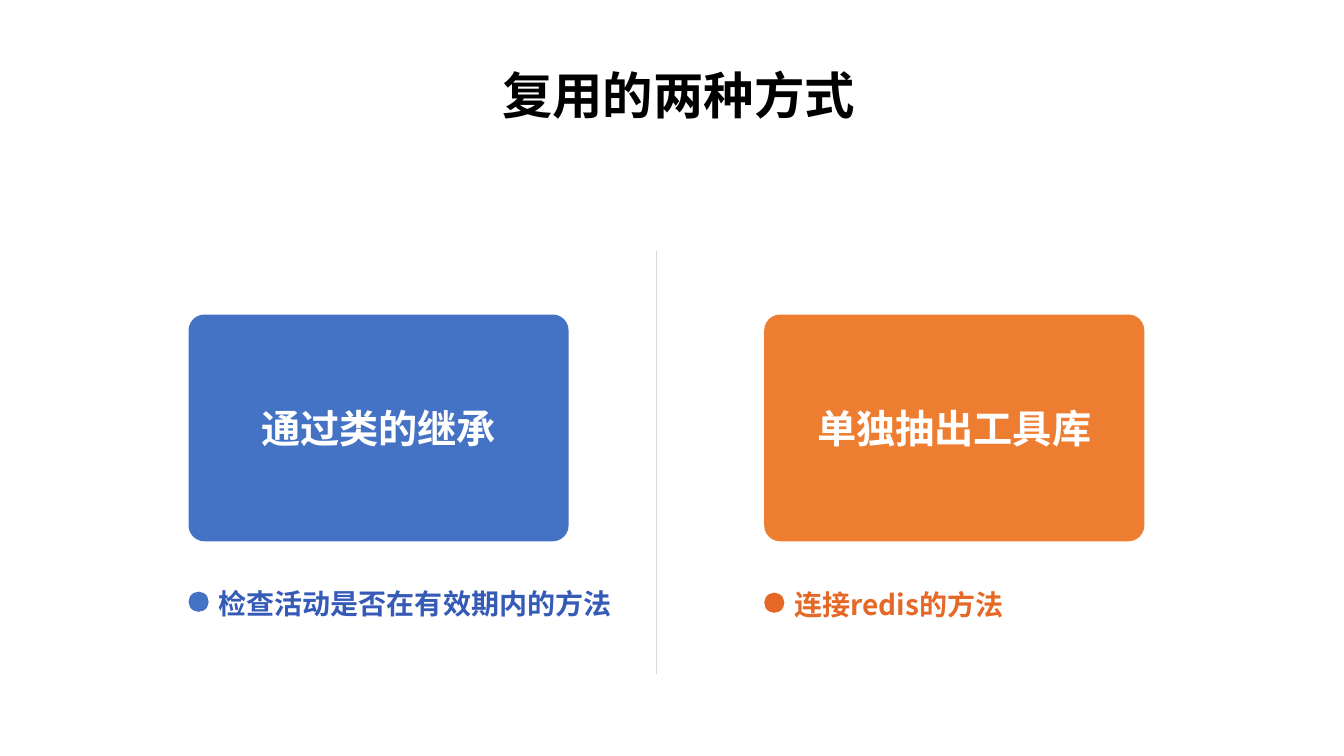
import lxml.etree
import pptx
import pptx.dml.color
import pptx.enum.shapes
import pptx.enum.text
import pptx.oxml.ns
import pptx.util

Inches = pptx.util.Inches
Pt = pptx.util.Pt
Color = pptx.dml.color.RGBColor
Shape = pptx.enum.shapes.MSO_SHAPE
Align = pptx.enum.text.PP_ALIGN
Anchor = pptx.enum.text.MSO_ANCHOR
qn = pptx.oxml.ns.qn

BLACK = Color(0x00, 0x00, 0x00)
WHITE = Color(0xFF, 0xFF, 0xFF)
GRAY = Color(0xD9, 0xD9, 0xD9)
BLUE = Color(0x44, 0x72, 0xC4)
NAVY = Color(0x35, 0x5B, 0xB7)
ORANGE = Color(0xED, 0x7D, 0x31)
RUST = Color(0xE6, 0x68, 0x26)


class Deck:
    """Draw styled elements on the current slide."""

    def __init__(self):
        self.font = "Noto Sans CJK SC"
        self.show = pptx.Presentation()
        self.show.slide_width = Inches(13.33)
        self.show.slide_height = Inches(7.5)
        self.slide = self.show.slides.add_slide(self.show.slide_layouts[5])

    def text(self, frame, words, size, color, align, anchor):
        frame.word_wrap = True
        frame.auto_size = pptx.enum.text.MSO_AUTO_SIZE.NONE
        frame.vertical_anchor = anchor
        para = frame.paragraphs[0]
        para.alignment = align
        run = para.add_run()
        run.text = words
        font = run.font
        font.size = Pt(size)
        font.bold = True
        font.color.rgb = color
        font.name = self.font
        east = lxml.etree.SubElement(run._r.get_or_add_rPr(), qn("a:ea"))
        east.set("typeface", self.font)

    def title(self, words, left, top, width, height):
        box = self.slide.shapes.title
        box.left, box.top = Inches(left), Inches(top)
        box.width, box.height = Inches(width), Inches(height)
        self.text(box.text_frame, words, 36, BLACK, Align.CENTER, Anchor.TOP)

    def solid(self, kind, left, top, width, height, fill):
        shape = self.slide.shapes.add_shape(
            kind, Inches(left), Inches(top), Inches(width), Inches(height))
        shape.shadow.inherit = False
        shape.fill.solid()
        shape.fill.fore_color.rgb = fill
        shape.line.fill.background()
        return shape

    def card(self, words, left, top, fill):
        shape = self.solid(Shape.ROUNDED_RECTANGLE, left, top, 3.77, 2.25, fill)
        shape.adjustments[0] = 0.07
        self.text(shape.text_frame, words, 28, WHITE, Align.CENTER, Anchor.MIDDLE)

    def dot(self, left, top, fill):
        self.solid(Shape.OVAL, left, top, 0.2, 0.2, fill)

    def label(self, words, left, top, width, color):
        box = self.slide.shapes.add_textbox(
            Inches(left), Inches(top), Inches(width), Inches(0.44))
        self.text(box.text_frame, words, 20, color, Align.LEFT, Anchor.TOP)

    def rule(self, left, top, end):
        line = self.slide.shapes.add_connector(
            pptx.enum.shapes.MSO_CONNECTOR.STRAIGHT,
            Inches(left), Inches(top), Inches(left), Inches(end))
        line.line.color.rgb = GRAY
        line.line.width = Pt(0.5)
        lxml.etree.SubElement(line._element.spPr, qn("a:effectLst"))

    def save(self):
        self.show.save("out.pptx")


def main():
    deck = Deck()
    deck.title("复用的两种方式", 0.08, 0.59, 13.3, 0.71)
    deck.rule(6.51, 2.49, 6.69)
    ways = [
        ("通过类的继承", "检查活动是否在有效期内的方法", 1.87, 5.77, 4.26, BLUE, BLUE, NAVY),
        ("单独抽出工具库", "连接redis的方法", 7.58, 5.78, 3.16, ORANGE, RUST, RUST),
    ]
    for name, note, left, top, width, fill, mark, ink in ways:
        deck.card(name, left, 3.12, fill)
        deck.label(note, left + 0.2, top, width, ink)
        deck.dot(left, top + 0.1, mark)
    deck.save()


if __name__ == "__main__":
    main()
